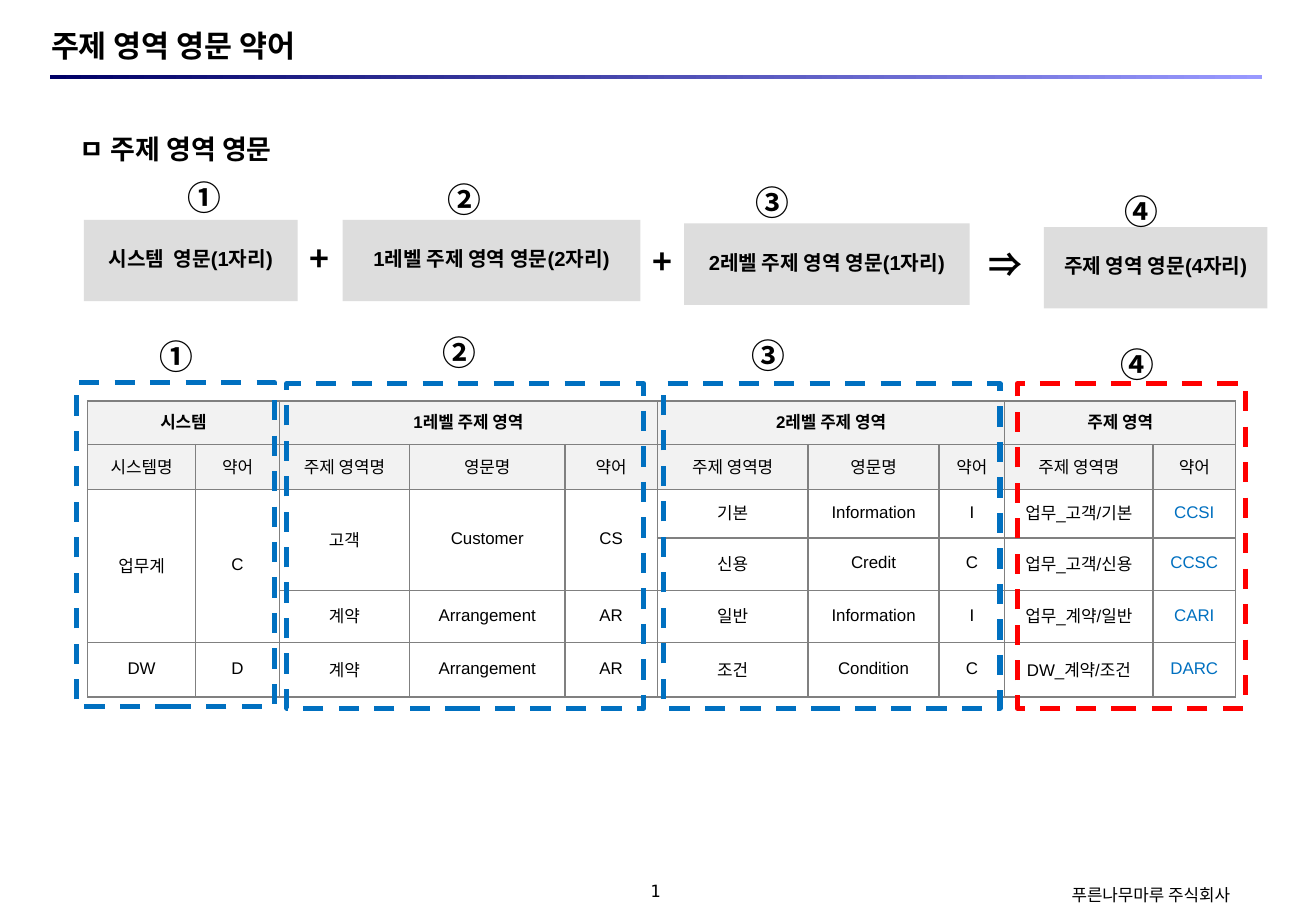
from lxml.etree import SubElement
from pptx import Presentation
from pptx.dml.color import RGBColor
from pptx.enum.dml import MSO_LINE
from pptx.enum.shapes import MSO_SHAPE
from pptx.enum.text import MSO_ANCHOR, MSO_AUTO_SIZE, PP_ALIGN
from pptx.oxml.ns import qn
from pptx.util import Pt

PX = 9144
BLACK = RGBColor(0x00, 0x00, 0x00)
NAVY = RGBColor(0x00, 0x00, 0x66)
LAVENDER = RGBColor(0x99, 0x99, 0xFF)
SILVER = RGBColor(0xDD, 0xDD, 0xDD)
HEADER = RGBColor(0xF2, 0xF2, 0xF2)
BLUE = RGBColor(0x00, 0x70, 0xC0)
RED = RGBColor(0xFF, 0x00, 0x00)
GREY = "808080"
LATIN = "Arial"
KOREAN = "Noto Sans CJK KR"
MONO = "DejaVu Sans Mono"


def write(frame, text, size, font=LATIN, bold=False, color=BLACK,
          align=PP_ALIGN.CENTER, spacing=0.85, margins=(0, 0), wrap=False,
          anchor=MSO_ANCHOR.MIDDLE):
    frame.margin_left = frame.margin_right = margins[0] * PX
    frame.margin_top = frame.margin_bottom = margins[1] * PX
    frame.word_wrap = wrap
    frame.auto_size = MSO_AUTO_SIZE.NONE
    frame.vertical_anchor = anchor
    write_para(frame.paragraphs[0], text, size, font, bold, color, align, spacing)


def write_para(para, text, size, font, bold, color, align, spacing):
    para.alignment = align
    para.line_spacing = spacing
    para.space_before = Pt(0)
    span = para.add_run()
    span.text = text
    span.font.size = Pt(size)
    span.font.bold = bold
    span.font.name = font
    span.font.color.rgb = color
    SubElement(span.font._element, qn("a:ea")).set("typeface", KOREAN)


deck = Presentation()
deck.slide_width, deck.slide_height = 1083 * PX, 750 * PX
page = deck.slides.add_slide(deck.slide_layouts[5])
shapes = page.shapes

title = shapes.title
title.left, title.top, title.width, title.height = 42 * PX, 22 * PX, 421 * PX, 30 * PX
write(title.text_frame, "주제 영역 영문 약어", 18, bold=True, align=PP_ALIGN.LEFT,
      spacing=1.0, wrap=True)

rule = shapes.add_shape(MSO_SHAPE.RECTANGLE, 41 * PX, 62 * PX, 998 * PX, 3 * PX)
rule.shadow.inherit = False
rule.line.fill.background()
rule.fill.gradient()
rule.fill.gradient_angle = 0
for stop, color in zip(rule.fill.gradient_stops, (NAVY, LAVENDER)):
    stop.color.rgb = color

for left, top, width, text, font in [
    (506, 725, 67, "1", MONO),
    (870, 728, 154, "푸른나무마루 주식회사", KOREAN),
]:
    footer = shapes.add_textbox(left * PX, top * PX, width * PX, 17 * PX)
    write(footer.text_frame, text, 10, font, spacing=1.0)

heading = shapes.add_textbox(56 * PX, 99 * PX, 859 * PX, 42 * PX)
write(heading.text_frame, "ㅁ 주제 영역 영문", 16, KOREAN, True, align=PP_ALIGN.LEFT,
      spacing=1.2, margins=(10, 5), wrap=True, anchor=MSO_ANCHOR.TOP)

columns = [89, 69, 107, 128, 76, 124, 108, 54, 122, 68]
heights = [36, 37, 40, 43, 43, 45]
rows = [
    ["시스템", "", "1레벨 주제 영역", "", "", "2레벨 주제 영역", "", "", "주제 영역", ""],
    ["시스템명", "약어", "주제 영역명", "영문명", "약어",
     "주제 영역명", "영문명", "약어", "주제 영역명", "약어"],
    ["업무계", "C", "고객", "Customer", "CS", "기본", "Information", "I", "업무_고객/기본", "CCSI"],
    ["", "", "", "", "", "신용", "Credit", "C", "업무_고객/신용", "CCSC"],
    ["", "", "계약", "Arrangement", "AR", "일반", "Information", "I", "업무_계약/일반", "CARI"],
    ["DW", "D", "계약", "Arrangement", "AR", "조건", "Condition", "C", "DW_계약/조건", "DARC"],
]
table = shapes.add_table(len(rows), len(columns), 72 * PX, 330 * PX,
                         sum(columns) * PX, sum(heights) * PX).table
table.first_row = table.horz_banding = False
for column, width in zip(table.columns, columns):
    column.width = width * PX
for row, height in zip(table.rows, heights):
    row.height = height * PX

for r, row in enumerate(rows):
    for c, text in enumerate(row):
        cell = table.cell(r, c)
        cell.margin_left = cell.margin_right = 4 * PX
        cell.margin_top = cell.margin_bottom = 5 * PX
        cell.vertical_anchor = MSO_ANCHOR.MIDDLE
        properties = cell._tc.get_or_add_tcPr()
        for side in ("lnL", "lnR", "lnT", "lnB"):
            border = SubElement(properties, qn("a:" + side), w=str(Pt(1)))
            fill = SubElement(border, qn("a:solidFill"))
            SubElement(fill, qn("a:srgbClr"), val=GREY)
        if r < 2:
            cell.fill.solid()
            cell.fill.fore_color.rgb = HEADER
        else:
            cell.fill.background()
        if text:
            color = BLUE if r > 1 and c == len(columns) - 1 else BLACK
            write_para(cell.text_frame.paragraphs[0], text, 10, LATIN, r == 0, color,
                       PP_ALIGN.CENTER, 0.85)

for top, left, bottom, right in [
    (0, 0, 0, 1), (0, 2, 0, 4), (0, 5, 0, 7), (0, 8, 0, 9),
    (2, 0, 4, 0), (2, 1, 4, 1), (2, 2, 3, 2), (2, 3, 3, 3), (2, 4, 3, 4),
]:
    table.cell(top, left).merge(table.cell(bottom, right))

for left, top, width, text in [
    (69, 181, 176, "시스템  영문(1자리)"),
    (282, 181, 245, "1레벨 주제 영역 영문(2자리)"),
    (563, 184, 235, "2레벨 주제 영역 영문(1자리)"),
    (859, 187, 184, "주제 영역 영문(4자리)"),
]:
    part = shapes.add_shape(MSO_SHAPE.RECTANGLE, left * PX, top * PX, width * PX, 67 * PX)
    part.shadow.inherit = False
    part.fill.solid()
    part.fill.fore_color.rgb = SILVER
    part.line.fill.background()
    write(part.text_frame, text, 12, bold=True, margins=(8, 8))

for left, top, width, color in [
    (63, 315, 163, BLUE), (236, 316, 294, BLUE), (546, 316, 277, BLUE), (837, 316, 188, RED),
]:
    outline = shapes.add_shape(MSO_SHAPE.RECTANGLE, left * PX, top * PX, width * PX, 267 * PX)
    outline.shadow.inherit = False
    outline.fill.background()
    outline.line.color.rgb = color
    outline.line.width = Pt(3)
    outline.line.dash_style = MSO_LINE.DASH

for left, top, width, symbol in [
    (245, 196, 36, "+"), (527, 198, 36, "+"), (803, 201, 48, "⇒"),
    (144, 146, 48, "①"), (358, 147, 48, "②"), (612, 150, 48, "③"), (915, 157, 48, "④"),
    (121, 277, 48, "①"), (354, 273, 48, "②"), (608, 276, 48, "③"), (912, 283, 48, "④"),
]:
    mark = shapes.add_textbox(left * PX, top * PX, width * PX, 39 * PX)
    write(mark.text_frame, symbol, 20, KOREAN, True, margins=(10, 5), anchor=MSO_ANCHOR.TOP)

deck.save("out.pptx")
